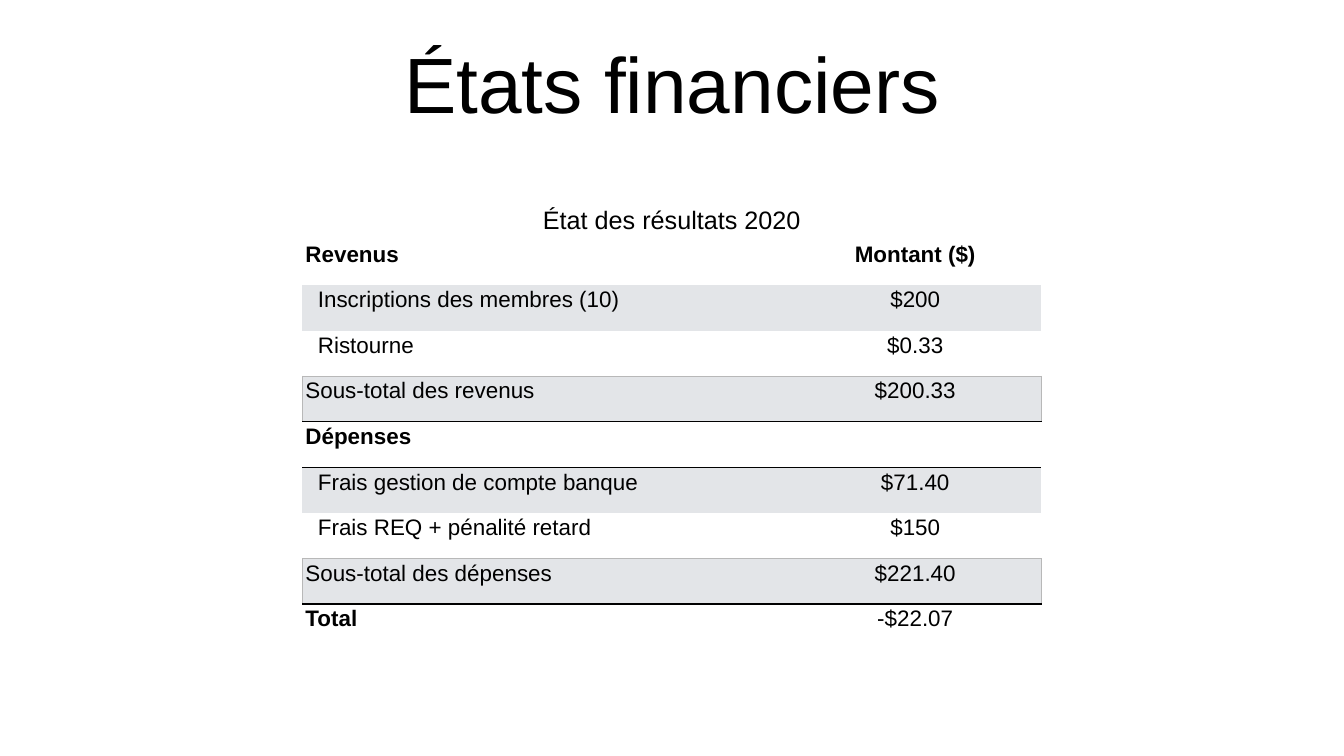
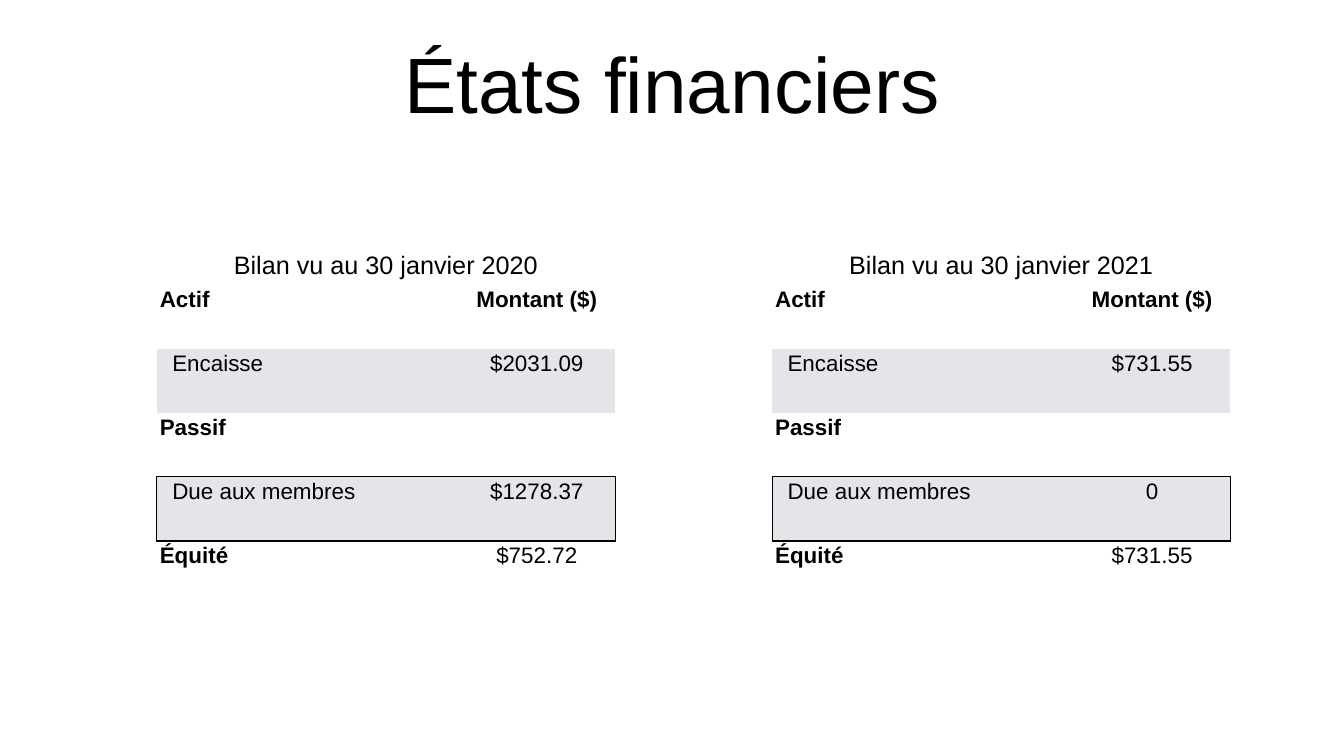
from lxml import etree
from pptx import Presentation
from pptx.dml.color import RGBColor
from pptx.enum.text import MSO_ANCHOR, MSO_AUTO_SIZE, PP_ALIGN
from pptx.oxml.ns import qn
from pptx.util import Pt

LEFT, CENTER = PP_ALIGN.LEFT, PP_ALIGN.CENTER
TOP, MIDDLE = MSO_ANCHOR.TOP, MSO_ANCHOR.MIDDLE
NO_AUTOFIT = MSO_AUTO_SIZE.NONE

# Shared look
FONT = "Arial"
BLACK, WHITE, BAND, RULE = "000000", "FFFFFF", "E3E5E8", "B8B8B8"
TITLE_SIZE, CAPTION_SIZE, TEXT_SIZE = 112, 36, 32
THIN = 0.96
MARGIN_X, MARGIN_Y, ITEM_INDENT = 4.32, 3.6, 17.8
CAPTION_HEIGHT = 51.1
PLAIN_TABLE_STYLE = "{2D5ABB26-0587-4C30-8999-92F81FD0307C}"

# Row kinds
HEADING, ITEM, SUBTOTAL, TOTAL = "heading", "item", "subtotal", "total"

INCOME_ROWS = [
    (HEADING, "Revenus", "Montant ($)"),
    (ITEM, "Inscriptions des membres (10)", "$200"),
    (ITEM, "Ristourne", "$0.33"),
    (SUBTOTAL, "Sous-total des revenus", "$200.33"),
    (HEADING, "Dépenses", ""),
    (ITEM, "Frais gestion de compte banque", "$71.40"),
    (ITEM, "Frais REQ + pénalité retard", "$150"),
    (SUBTOTAL, "Sous-total des dépenses", "$221.40"),
    (TOTAL, "Total", "-$22.07"),
]


def balance_rows(cash, owed, equity):
    return [
        (HEADING, "Actif", "Montant ($)"),
        (ITEM, "Encaisse", cash),
        (HEADING, "Passif", ""),
        (ITEM, "Due aux membres", owed),
        (TOTAL, "Équité", equity),
    ]


def color(value):
    return RGBColor.from_string(value)


def style_paragraph(paragraph, size, align, bold=False):
    paragraph.alignment = align
    font = paragraph.font
    font.name, font.size, font.bold = FONT, Pt(size), bold
    font.color.rgb = color(BLACK)


def add_title_slide(presentation, text):
    slide = presentation.slides.add_slide(presentation.slide_layouts[5])
    title = slide.shapes.title
    title.left, title.top = Pt(133), Pt(28)
    title.width, title.height = Pt(1654), Pt(180)
    frame = title.text_frame
    frame.text = text
    frame.auto_size = NO_AUTOFIT
    frame.vertical_anchor = MIDDLE
    frame.margin_left = frame.margin_right = Pt(MARGIN_X)
    frame.margin_top = frame.margin_bottom = Pt(MARGIN_X)
    style_paragraph(frame.paragraphs[0], TITLE_SIZE, CENTER)
    return slide


def fill_cell(cell, text, size, align, bold=False, indent=0):
    cell.text = text
    cell.vertical_anchor = TOP
    cell.margin_left, cell.margin_right = Pt(MARGIN_X + indent), Pt(MARGIN_X)
    cell.margin_top = cell.margin_bottom = Pt(MARGIN_Y)
    style_paragraph(cell.text_frame.paragraphs[0], size, align, bold)


def set_borders(cell, borders):
    """Draw the sides given as {side: (colour, width)}, in schema order."""
    properties = cell._tc.get_or_add_tcPr()
    for side in "LRTB":
        if side in borders:
            value, width = borders[side]
            line = etree.SubElement(properties, qn("a:ln" + side), w=str(Pt(width)))
            fill = etree.SubElement(line, qn("a:solidFill"))
            etree.SubElement(fill, qn("a:srgbClr"), val=value)


def row_borders(index, column, boxes):
    """Box a row; the rows above and below share its edges."""
    borders = {}
    if index in boxes:
        side_color, bottom_width = boxes[index]
        edge = (side_color, THIN)
        borders = {"LR"[column]: edge, "T": edge, "B": (BLACK, bottom_width)}
    if index + 1 in boxes:
        borders["B"] = (boxes[index + 1][0], THIN)
    if index - 1 in boxes:
        borders["T"] = (BLACK, boxes[index - 1][1])
    return borders


def add_statement(slide, caption, rows, left, top, widths, row_height, boxes):
    """Two-column statement; boxes maps a row to (side colour, bottom width)."""
    height = CAPTION_HEIGHT + row_height * len(rows)
    frame = slide.shapes.add_table(len(rows) + 1, 2, Pt(left), Pt(top),
                                   Pt(sum(widths)), Pt(height))
    table = frame.table
    table.first_row = table.horz_banding = False
    table._tbl.tblPr.find(qn("a:tableStyleId")).text = PLAIN_TABLE_STYLE
    for column, width in zip(table.columns, widths):
        column.width = Pt(width)

    # Caption across both columns
    table.rows[0].height = Pt(CAPTION_HEIGHT)
    table.cell(0, 0).merge(table.cell(0, 1))
    fill_cell(table.cell(0, 0), caption, CAPTION_SIZE, CENTER)

    # Label and amount rows
    for index, (kind, label, amount) in enumerate(rows, start=1):
        table.rows[index].height = Pt(row_height)
        label_cell, amount_cell = table.cell(index, 0), table.cell(index, 1)
        fill_cell(label_cell, label, TEXT_SIZE, LEFT, kind in (HEADING, TOTAL),
                  ITEM_INDENT if kind == ITEM else 0)
        fill_cell(amount_cell, amount, TEXT_SIZE, CENTER, kind == HEADING)
        for column, cell in enumerate((label_cell, amount_cell)):
            set_borders(cell, row_borders(index, column, boxes))
            cell.fill.solid()
            cell.fill.fore_color.rgb = color(WHITE if index % 2 else BAND)


def main():
    presentation = Presentation()
    presentation.slide_width, presentation.slide_height = Pt(1920), Pt(1080)

    # Income statement
    slide = add_title_slide(presentation, "États financiers")
    add_statement(slide, "État des résultats 2020", INCOME_ROWS, 432, 291,
                  (695.5, 360), 65.1, {4: (RULE, THIN), 8: (RULE, 3.97)})

    # Balance sheets, side by side
    slide = add_title_slide(presentation, "États financiers")
    balances = [
        ("Bilan vu au 30 janvier 2020", balance_rows("$2031.09", "$1278.37", "$752.72")),
        ("Bilan vu au 30 janvier 2021", balance_rows("$731.55", "0", "$731.55")),
    ]
    for position, (caption, rows) in enumerate(balances):
        add_statement(slide, caption, rows, 224 + 879 * position, 355.7,
                      (431.3, 223.2), 91.4, {4: (BLACK, 3)})

    presentation.save("out.pptx")


main()
